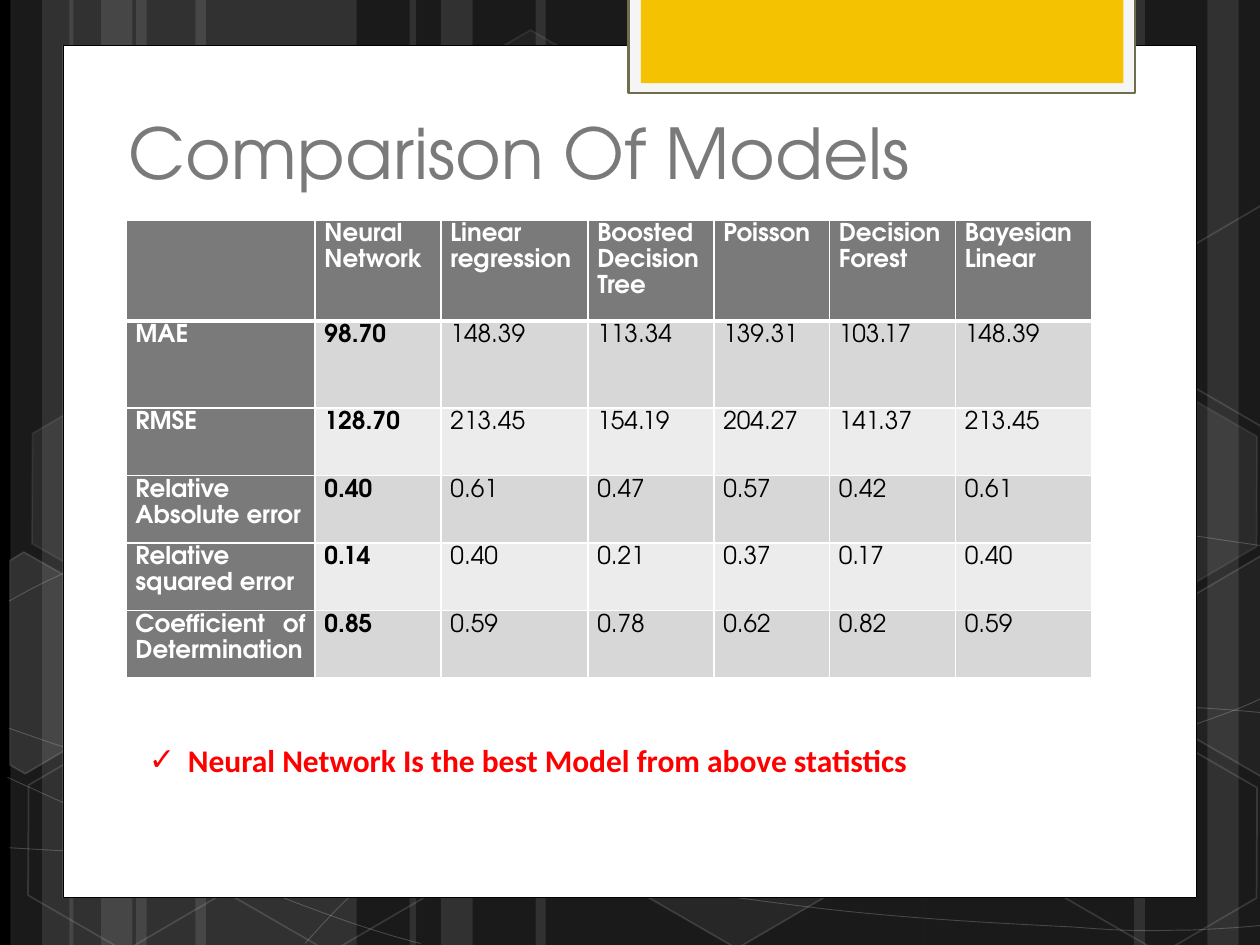
from dataclasses import dataclass

from lxml.etree import SubElement
from pptx import Presentation
from pptx.dml.color import RGBColor
from pptx.enum.shapes import MSO_SHAPE
from pptx.enum.text import MSO_ANCHOR, MSO_AUTO_SIZE, PP_ALIGN
from pptx.oxml.ns import qn
from pptx.util import Cm, Pt


@dataclass(frozen=True)
class Theme:
    black: str = "000000"
    white: str = "FFFFFF"
    gray: str = "7A7A7A"
    bands: tuple = ("D7D7D7", "ECECEC")
    frame: str = "F5F5F5"
    frame_line: str = "6F6F4E"
    accent: str = "F5C201"
    conclusion: str = "FF0000"
    font: str = "TeX Gyre Adventor"
    conclusion_font: str = "Calibri"
    title_size: int = 40
    table_size: int = 14
    conclusion_size: int = 18


theme = Theme()


def paint(shape, fill=None, fill_alpha=100, line=None, width=1, line_alpha=100):
    shape.shadow.inherit = False
    for target, color in ((shape.fill, fill), (shape.line.fill, line)):
        if color is None:
            target.background()
            continue
        target.solid()
        target.fore_color.rgb = RGBColor.from_string(color)
    if line:
        shape.line.width = Pt(width)
    properties = shape.element.spPr
    for parent, alpha in ((properties, fill_alpha), (properties.find(qn("a:ln")), line_alpha)):
        color_element = parent.find(qn("a:solidFill") + "/" + qn("a:srgbClr"))
        if color_element is not None and alpha < 100:
            SubElement(color_element, qn("a:alpha"), val=str(alpha * 1000))


def draw_outline(shapes, points, close):
    points = [(Cm(x), Cm(y)) for x, y in points]
    builder = shapes.build_freeform(*points[0], scale=1.0)
    builder.add_line_segments(points[1:], close=close)
    return builder.convert_to_shape()


presentation = Presentation()
presentation.slide_width = Cm(25.4)
presentation.slide_height = Cm(19.05)
slide = presentation.slides.add_slide(presentation.slide_layouts[5])
shapes = slide.shapes
slide.background.fill.solid()
slide.background.fill.fore_color.rgb = RGBColor.from_string(theme.black)

stripes = [
    (2.74, 4.45), (0.21, 1.27), (0.85, 2.11), (3.94, 4.45), (1.4, 1.27), (2.04, 2.11),
    (18.63, 4.45), (24.34, 1.27), (22.86, 2.11), (10.8, 7.83), (8.26, 1.27), (8.89, 2.11),
]
for left, width in stripes:
    stripe = shapes.add_shape(MSO_SHAPE.RECTANGLE, Cm(left), 0, Cm(width), presentation.slide_height)
    paint(stripe, theme.white, 10)

curves = [
    [(0.18, 17.09), (1.55, 17.17), (2.92, 17.25), (4.83, 17.22), (6.73, 17.2), (9.09, 17.15),
     (11.63, 16.89), (14.17, 16.64), (17.78, 16.18), (20.12, 15.67), (22.43, 15.19),
     (24.82, 14.43), (25.58, 14)],
    [(0.18, 12.12), (0.91, 11.71), (1.65, 11.33), (3.07, 10.95), (4.52, 10.57), (6.58, 10),
     (8.81, 9.83), (11.07, 9.65), (13.82, 9.63), (16.61, 9.83), (19.41, 10.03),
     (24.05, 10.82), (25.58, 11.02)],
    [(0.15, 15.67), (3.23, 17.07), (6.27, 18.47), (8.48, 19.02)],
    [(0.18, 14.68), (0.97, 14.96), (1.78, 15.24), (3.25, 15.65), (4.72, 16.03), (6.93, 16.66),
     (9.07, 17.09), (11.18, 17.53), (13.84, 17.98), (15.95, 18.24), (18.06, 18.52),
     (20.32, 18.62), (21.67, 18.69), (22.99, 18.8), (23.34, 18.75), (24, 18.75),
     (24.66, 18.72), (25.12, 18.69), (25.58, 18.64)],
    [(6.15, 19.02), (6.6, 18.52), (7.06, 18.01), (7.67, 17.55), (8.28, 17.09), (9.14, 16.59),
     (9.86, 16.23), (10.57, 15.88), (11, 15.72), (11.94, 15.47), (12.85, 15.21),
     (14.55, 14.86), (15.44, 14.68), (16.36, 14.5), (16.48, 14.5), (17.27, 14.45),
     (18.06, 14.38), (19.3, 14.3), (20.17, 14.27), (21.06, 14.25), (22.5, 14.27),
     (22.5, 14.27), (23, 14.27), (23.6, 14.27), (24.21, 14.27), (24.66, 14.3),
     (25.1, 14.33), (25.55, 14.38)],
]
for controls in curves:
    curve = draw_outline(shapes, controls, False)
    outline = next(curve.element.iter(qn("a:path")))
    segments = outline.findall(qn("a:lnTo"))
    for start in range(0, len(segments), 3):
        bezier = SubElement(outline, qn("a:cubicBezTo"))
        for segment in segments[start:start + 3]:
            bezier.append(segment[0])
            outline.remove(segment)
    paint(curve, line=theme.white, width=0.5, line_alpha=20)

hexagons = [
    (8.48, 0.91, 4, 8), (12.62, 14.96, 6, 12), (0.28, 15.01, 0, 12), (0.36, 7.92, 7, 8),
    (4.42, 15.04, 0, 12), (19.13, 11.51, 10, 12), (21.18, 15.06, 0, 12), (21.18, 7.98, 7, 8),
]
for left, top, fill_alpha, line_alpha in hexagons:
    hexagon = shapes.add_shape(MSO_SHAPE.HEXAGON, Cm(left), Cm(top), Cm(4.45), Cm(3.86))
    hexagon.adjustments[0] = 0.285
    hexagon.rotation = 30
    paint(hexagon, theme.white if fill_alpha else None, fill_alpha, theme.white, 1, line_alpha)

cut_hexagons = [
    ([(0.2, 11.3), (0.48, 11.13), (2.44, 12.24), (2.41, 14.48), (0.51, 15.6), (0.2, 15.42)], 10),
    ([(23.52, 12.32), (25.43, 11.2), (25.63, 11.33), (25.63, 15.57), (25.45, 15.67), (23.52, 14.55)], 4),
    ([(23.52, 5.26), (25.43, 4.14), (25.65, 4.27), (25.63, 8.51), (25.45, 8.61), (23.52, 7.49)], 0),
]
for points, fill_alpha in cut_hexagons:
    cut_hexagon = draw_outline(shapes, points, True)
    paint(cut_hexagon, theme.white if fill_alpha else None, fill_alpha, theme.white, 1, 12)

panels = [
    ((1.27, 0.91, 22.86, 17.19), theme.white, theme.black, 0.5),
    ((12.67, -0.05, 10.21, 1.93), theme.frame, theme.frame_line, 1.25),
    ((12.92, -0.05, 9.73, 1.73), theme.accent, None, 0),
]
for box, fill, line, width in panels:
    panel = shapes.add_shape(MSO_SHAPE.RECTANGLE, *map(Cm, box))
    paint(panel, fill, line=line, width=width)

title = shapes.title
shapes.element.append(title.element)
title.left, title.top, title.width, title.height = Cm(2.34), Cm(0.85), Cm(19.5), Cm(3.17)
title.text_frame.text = "Comparison Of Models"
title.text_frame.vertical_anchor = MSO_ANCHOR.BOTTOM
title.text_frame.auto_size = MSO_AUTO_SIZE.NONE
paragraph = title.text_frame.paragraphs[0]
paragraph.alignment = PP_ALIGN.LEFT
paragraph.font.name = theme.font
paragraph.font.size = Pt(theme.title_size)
paragraph.font.color.rgb = RGBColor.from_string(theme.gray)

rows = [
    ("", "Neural Network", "Linear regression", "Boosted Decision Tree", "Poisson",
     "Decision Forest", "Bayesian Linear"),
    ("MAE", "98.70", "148.39", "113.34", "139.31", "103.17", "148.39"),
    ("RMSE", "128.70", "213.45", "154.19", "204.27", "141.37", "213.45"),
    ("Relative Absolute error", "0.40", "0.61", "0.47", "0.57", "0.42", "0.61"),
    ("Relative squared error", "0.14", "0.40", "0.21", "0.37", "0.17", "0.40"),
    ("Coefficient of Determination", "0.85", "0.59", "0.78", "0.62", "0.82", "0.59"),
]
column_widths = [3.81, 2.54, 2.96, 2.54, 2.33, 2.54, 2.75]
row_heights = [2.03, 1.76] + [1.36] * 4
table = shapes.add_table(
    len(rows), len(column_widths), Cm(2.54), Cm(4.44), Cm(sum(column_widths)), Cm(sum(row_heights))
).table
table.horz_banding = False
for column, width in zip(table.columns, column_widths):
    column.width = Cm(width)
for row_index, values in enumerate(rows):
    table.rows[row_index].height = Cm(row_heights[row_index])
    for column_index, value in enumerate(values):
        cell = table.cell(row_index, column_index)
        heading = row_index == 0 or column_index == 0
        cell.margin_left = cell.margin_right = Cm(0.19)
        cell.margin_top = cell.margin_bottom = 0
        for side in "LRTB":
            thick = (row_index, side) in ((0, "B"), (1, "T"))
            border = SubElement(
                cell._tc.get_or_add_tcPr(), qn("a:ln" + side), w=str(Pt(3 if thick else 1))
            )
            SubElement(SubElement(border, qn("a:solidFill")), qn("a:srgbClr"), val=theme.white)
        cell.fill.solid()
        fill = theme.gray if heading else theme.bands[(row_index - 1) % 2]
        cell.fill.fore_color.rgb = RGBColor.from_string(fill)
        cell.text = value
        paragraph = cell.text_frame.paragraphs[0]
        paragraph.alignment = PP_ALIGN.JUSTIFY
        paragraph.line_spacing = 1.15
        paragraph.font.name = theme.font
        paragraph.font.size = Pt(theme.table_size)
        paragraph.font.bold = heading or column_index == 1
        paragraph.font.color.rgb = RGBColor.from_string(theme.white if heading else theme.black)

conclusion = shapes.add_textbox(Cm(2.75), Cm(14.81), Cm(18.62), Cm(1.02)).text_frame
conclusion.word_wrap = True
conclusion.text = "Neural Network Is the best Model from above statistics"
paragraph = conclusion.paragraphs[0]
paragraph.font.name = theme.conclusion_font
paragraph.font.size = Pt(theme.conclusion_size)
paragraph.font.bold = True
paragraph.font.color.rgb = RGBColor.from_string(theme.conclusion)
paragraph_properties = paragraph._p.get_or_add_pPr()
paragraph_properties.set("marL", str(Cm(0.79)))
paragraph_properties.set("indent", str(-Cm(0.79)))
bullet_font = paragraph_properties.makeelement(qn("a:buFont"), {"typeface": theme.conclusion_font})
bullet = paragraph_properties.makeelement(qn("a:buChar"), {"char": "✓"})
paragraph_properties.insert(0, bullet_font)
paragraph_properties.insert(1, bullet)

presentation.save("out.pptx")
